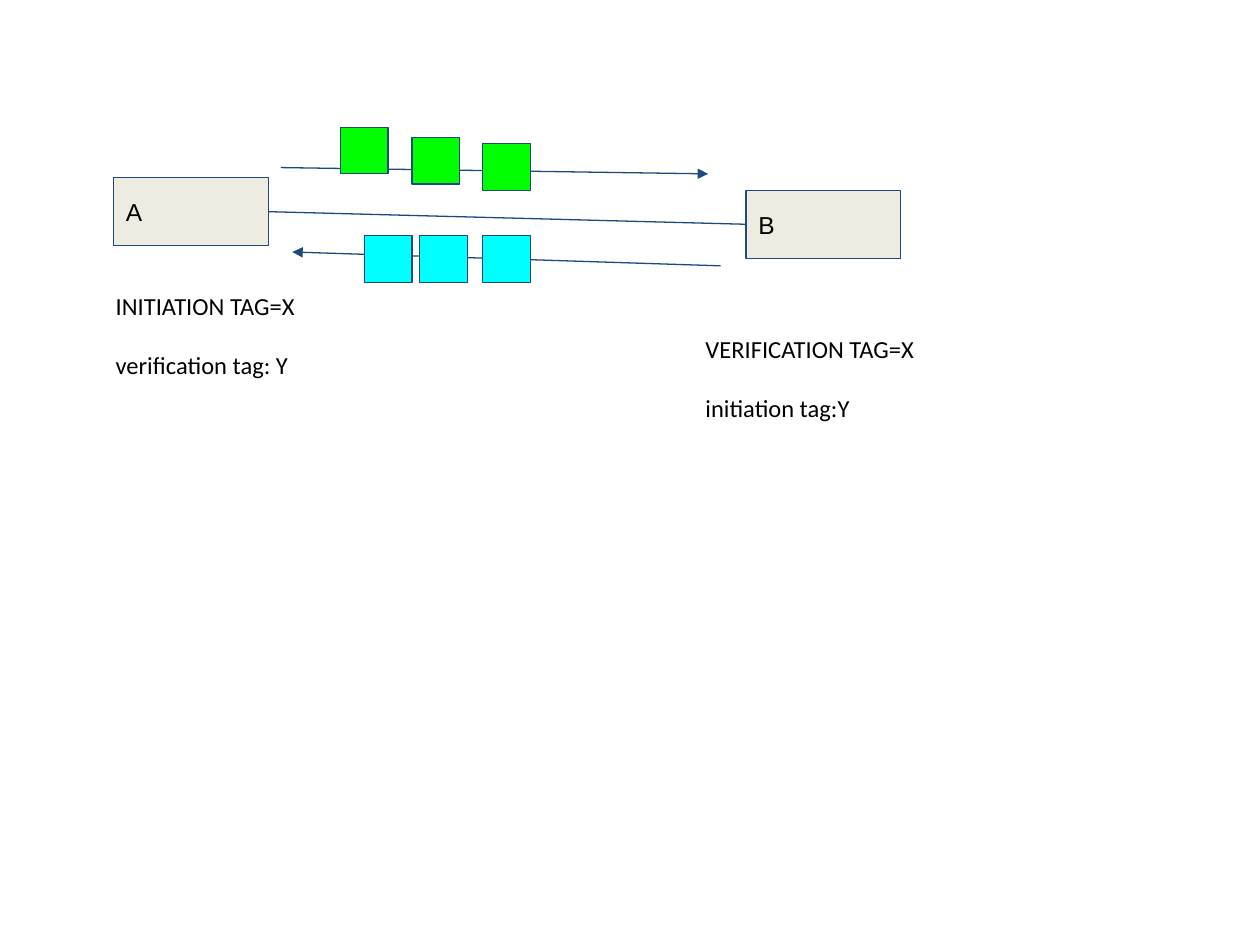
import pptx
import pptx.dml.color
import pptx.enum.shapes
import pptx.enum.text
import pptx.oxml
import pptx.oxml.ns
import pptx.util

RGBColor = pptx.dml.color.RGBColor
NAVY = RGBColor(0x1F, 0x49, 0x7D)
CREAM = RGBColor(0xEE, 0xEC, 0xE1)
GREEN = RGBColor(0x00, 0xFF, 0x00)
CYAN = RGBColor(0x00, 0xFF, 0xFF)
BLACK = RGBColor(0x00, 0x00, 0x00)

COLUMNS, ROWS = 100, 75


class Diagram:
    """Style and current page; lengths are columns and rows of the grid."""

    line_width = pptx.util.Pt(0.75)
    text_size = pptx.util.Pt(14)
    paragraph_gap = pptx.util.Pt(17)
    inset = pptx.util.Inches(0.1)

    def __init__(self, deck):
        self.page = deck.slides.add_slide(deck.slide_layouts[6])
        self.column = deck.slide_width / COLUMNS
        self.row = deck.slide_height / ROWS

    def place(self, column, row):
        return round(column * self.column), round(row * self.row)

    def label(self, shape, lines, font, anchor):
        frame = shape.text_frame
        frame.word_wrap = True
        frame.vertical_anchor = anchor
        frame.margin_left = frame.margin_right = self.inset
        frame.margin_top = frame.margin_bottom = self.inset
        for index, line in enumerate(lines):
            para = frame.add_paragraph() if index else frame.paragraphs[0]
            para.alignment = pptx.enum.text.PP_ALIGN.LEFT
            if index:
                para.space_before = self.paragraph_gap
            span = para.add_run()
            span.text = line
            span.font.name = font
            span.font.size = self.text_size
            span.font.color.rgb = BLACK

    def box(self, column, row, width, height, color):
        box = self.page.shapes.add_shape(
            pptx.enum.shapes.MSO_SHAPE.RECTANGLE,
            *self.place(column, row), *self.place(width, height))
        box.shadow.inherit = False
        box.fill.solid()
        box.fill.fore_color.rgb = color
        box.line.color.rgb = NAVY
        box.line.width = self.line_width
        return box

    def endpoint(self, column, row, name):
        box = self.box(column, row, 12.3, 5.4, CREAM)
        self.label(box, [name], "Arial", pptx.enum.text.MSO_ANCHOR.MIDDLE)
        return box

    def packet(self, column, row, color):
        self.box(column, row, 3.8, 3.7, color)

    def note(self, column, row, width, lines):
        note = self.page.shapes.add_textbox(
            *self.place(column, row), *self.place(width, 9.1))
        self.label(note, lines, "Calibri", pptx.enum.text.MSO_ANCHOR.TOP)
        note.text_frame.auto_size = pptx.enum.text.MSO_AUTO_SIZE.SHAPE_TO_FIT_TEXT

    def line(self, start, end, arrow=False):
        line = self.page.shapes.add_connector(
            pptx.enum.shapes.MSO_CONNECTOR.STRAIGHT,
            *self.place(*start), *self.place(*end))
        line.line.color.rgb = NAVY
        line.line.width = self.line_width
        properties = line._element.spPr
        if arrow:
            stroke = properties.find(pptx.oxml.ns.qn("a:ln"))
            stroke.append(pptx.oxml.parse_xml(
                f'<a:tailEnd {pptx.oxml.ns.nsdecls("a")} type="triangle"/>'))
        properties.append(pptx.oxml.parse_xml(
            f'<a:effectLst {pptx.oxml.ns.nsdecls("a")}/>'))
        return line


def main():
    deck = pptx.Presentation()
    deck.slide_width = pptx.util.Inches(10)
    deck.slide_height = pptx.util.Inches(7.5)
    diagram = Diagram(deck)

    # Endpoints and the association between them
    endpoint_a = diagram.endpoint(9, 14.1, "A")
    endpoint_b = diagram.endpoint(59.2, 15.1, "B")
    association = diagram.line((21.3, 16.8), (59.2, 17.8))
    association.begin_connect(endpoint_a, 3)
    association.end_connect(endpoint_b, 1)

    # Tags held by each endpoint
    diagram.note(8.2, 22.1, 17.4, ["INITIATION TAG=X", "verification tag: Y"])
    diagram.note(55, 25.5, 26.2, ["VERIFICATION TAG=X", "initiation tag:Y"])

    # Directions of traffic
    diagram.line((22.3, 13.3), (56.2, 13.8), arrow=True)
    diagram.line((57.2, 21.1), (23.2, 20), arrow=True)

    # Packets from A to B, then from B to A
    for column, row in ((27, 10.1), (32.7, 10.9), (38.3, 11.4)):
        diagram.packet(column, row, GREEN)
    for column in (28.9, 33.3, 38.3):
        diagram.packet(column, 18.7, CYAN)

    deck.save("out.pptx")


if __name__ == "__main__":
    main()
